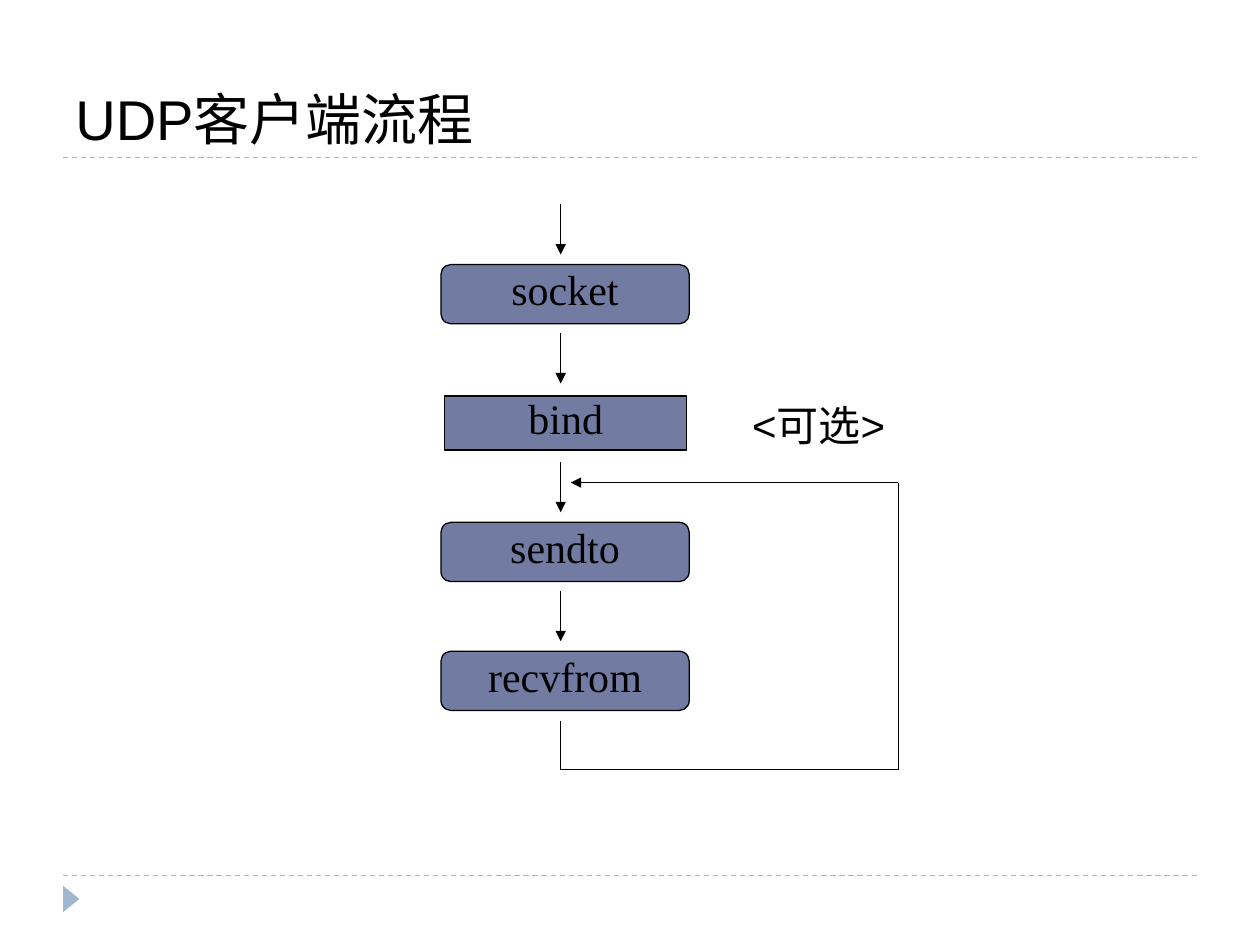
from lxml.etree import SubElement
from pptx import Presentation
from pptx.dml.color import RGBColor
from pptx.enum.dml import MSO_LINE
from pptx.enum.shapes import MSO_CONNECTOR, MSO_SHAPE
from pptx.enum.text import MSO_ANCHOR, PP_ALIGN
from pptx.oxml.ns import qn
from pptx.util import Inches, Pt

COLORS = {"ink": "000000", "box": "727CA3", "rule": "9FB8CD"}
AXIS = 4.45
LOOP = 7.13
BACK = 3.83
BASE = 6.11
TOP = 2.1
STEP = 1.023


def color(name):
    """Look up a colour by name."""
    return RGBColor.from_string(COLORS[name])


def write(shape, text, size=24, font="Arial", align=PP_ALIGN.LEFT,
          anchor=MSO_ANCHOR.TOP, space=1.0):
    """Put one formatted paragraph into a shape."""
    frame = shape.text_frame
    frame.word_wrap = True
    frame.vertical_anchor = anchor
    para = frame.paragraphs[0]
    para.alignment = align
    para.line_spacing = space
    run = para.add_run()
    run.text = text
    run.font.size = Pt(size)
    run.font.name = font
    run.font.color.rgb = color("ink")
    if font == "Arial":
        SubElement(run.font._element, qn("a:ea")).set("typeface", font)


def label(slide, text, left, top, width, height, **form):
    """Add a text box."""
    area = map(Inches, (left, top, width, height))
    write(slide.shapes.add_textbox(*area), text, **form)


def shape(slide, kind, left, top, width, height, fill):
    """Add a flat filled shape without an outline."""
    item = slide.shapes.add_shape(kind, *map(Inches, (left, top, width, height)))
    item.shadow.inherit = False
    item.fill.solid()
    item.fill.fore_color.rgb = color(fill)
    item.line.fill.background()
    return item


def box(slide, kind, text, *area):
    """Add an outlined step of the flow."""
    item = shape(slide, kind, *area, "box")
    item.line.color.rgb = color("ink")
    item.line.width = Pt(0.75)
    write(item, text, font="Times New Roman", align=PP_ALIGN.CENTER, space=0.8)


def line(slide, start, end, tint="ink", dash=None, arrow=False):
    """Add a straight line, dashed or with an arrowhead on request."""
    item = slide.shapes.add_connector(
        MSO_CONNECTOR.STRAIGHT, *map(Inches, (*start, *end)))
    item.line.color.rgb = color(tint)
    item.line.width = Pt(0.75)
    if dash:
        item.line.dash_style = dash
    if arrow:
        SubElement(item.line._get_or_add_ln(), qn("a:tailEnd")).set("type", "triangle")
    SubElement(item._element.spPr, qn("a:effectLst"))


def frame(slide):
    """Draw the title, the two rules and the corner marker."""
    for y in (6.95, 1.25):
        line(slide, (0.5, y), (9.5, y), "rule", MSO_LINE.DASH)
    mark = shape(slide, MSO_SHAPE.ISOSCELES_TRIANGLE, 0.46, 7.07, 0.21, 0.13, "rule")
    mark.rotation = 90
    label(slide, "UDP客户端流程", 0.5, 0.17, 9, 1.08, size=32,
          anchor=MSO_ANCHOR.BOTTOM)


def flow(slide):
    """Draw the call steps, each with the arrow that leads to it."""
    for i, name in enumerate(("socket", "bind", "sendto", "recvfrom")):
        y = TOP + i * STEP
        line(slide, (AXIS, y - 0.48), (AXIS, y - 0.08), arrow=True)
        if name == "bind":
            box(slide, MSO_SHAPE.RECTANGLE, name, 3.53, y + 0.02, 1.92, 0.43)
        else:
            box(slide, MSO_SHAPE.FLOWCHART_ALTERNATE_PROCESS, name,
                3.5, y, 1.97, 0.47)
    label(slide, "<可选>", 5.87, 3.12, 2.05, 0.5)


def loop(slide):
    """Draw the way back from the last step to sendto."""
    line(slide, (AXIS, 5.72), (AXIS, BASE))
    line(slide, (AXIS, BASE), (LOOP, BASE))
    line(slide, (LOOP, BACK), (LOOP, BASE))
    line(slide, (LOOP, BACK), (4.53, BACK), arrow=True)


def main():
    """Build and save the slide."""
    deck = Presentation()
    deck.slide_width = Inches(10)
    deck.slide_height = Inches(7.5)
    slide = deck.slides.add_slide(deck.slide_layouts[6])
    frame(slide)
    flow(slide)
    loop(slide)
    deck.save("out.pptx")


if __name__ == "__main__":
    main()
